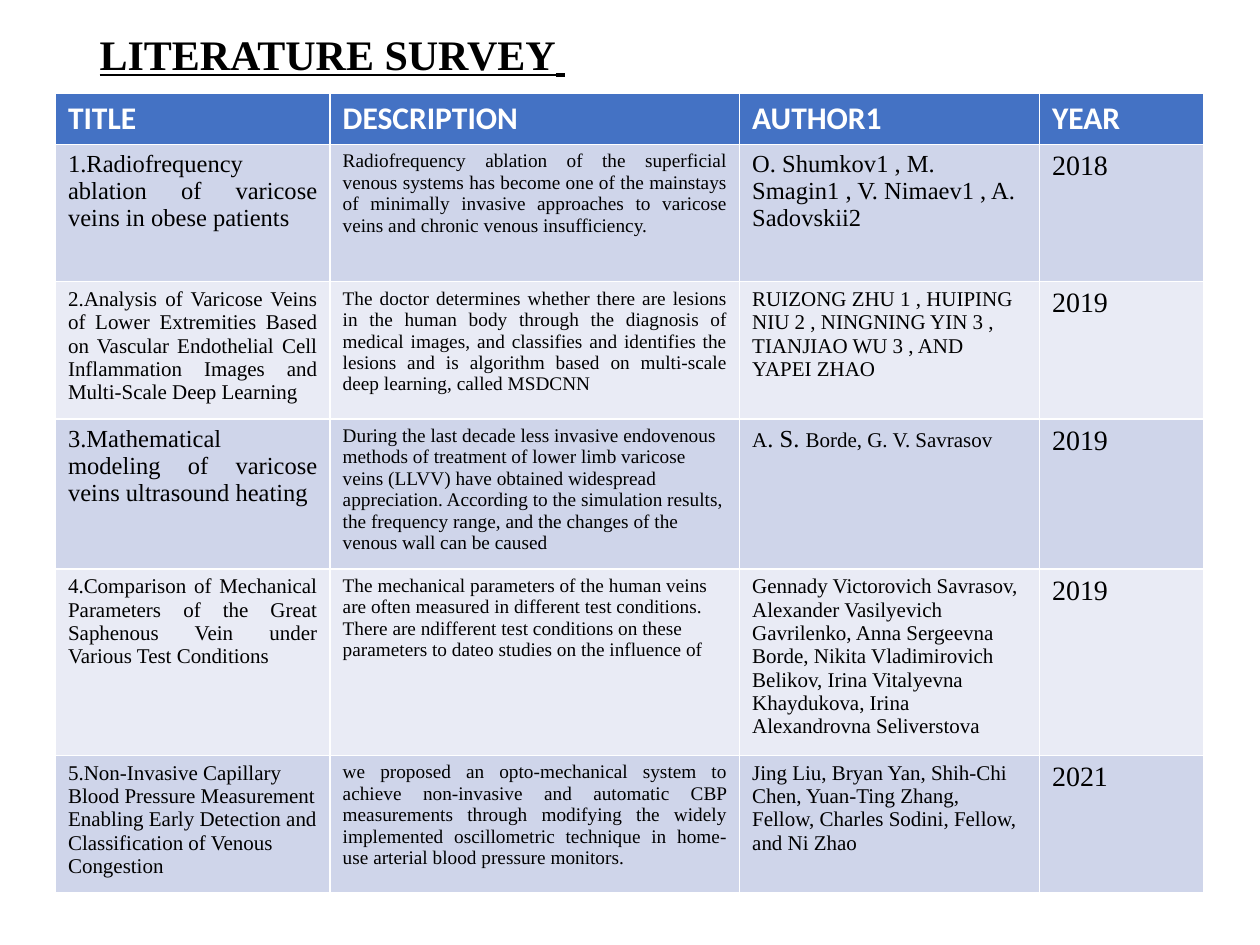
from pptx import Presentation
from pptx.dml.color import RGBColor
from pptx.enum.text import MSO_ANCHOR, MSO_AUTO_SIZE, PP_ALIGN
from pptx.util import Inches, Pt

LEFT, JUST = PP_ALIGN.LEFT, PP_ALIGN.JUSTIFY
MIDDLE, NO_FIT = MSO_ANCHOR.MIDDLE, MSO_AUTO_SIZE.NONE
SERIF, SANS = "Times New Roman", "Calibri"
COLORS = {"head": "4472C4", "odd": "CFD5EA", "even": "E9EBF5",
          "white": "FFFFFF", "black": "000000"}


def color(name):
    return RGBColor.from_string(COLORS[name])


def style(font, face, size, ink, bold=False):
    font.name = face
    font.size = Pt(size)
    font.bold = bold
    font.color.rgb = color(ink)


prs = Presentation()
prs.slide_width, prs.slide_height = Inches(10), Inches(7.5)
slide = prs.slides.add_slide(prs.slide_layouts[5])

# Title
title = slide.shapes.title
title.left, title.top = Inches(0.69), Inches(0)
title.width, title.height = Inches(8.62), Inches(0.9)
frame = title.text_frame
frame.auto_size = NO_FIT
frame.vertical_anchor = MIDDLE
para = frame.paragraphs[0]
para.alignment = LEFT
para.line_spacing = 0.9
for text, face, bold in [("LITERATURE SURVEY", SERIF, True), (" ", SANS, False)]:
    run = para.add_run()
    run.text = text
    style(run.font, face, 24, "black", bold)
    run.font.underline = True

# Survey table
heads = ["TITLE", "DESCRIPTION", "AUTHOR1", "YEAR"]
widths = [2.18, 3.25, 2.38, 1.3]
heights = [0.4, 1.09, 1.09, 1.19, 1.48, 1.09]

# Each paper: title, description, authors as (text, size, alignment), then year
papers = [
    [("1.Radiofrequency ablation of varicose veins in obese patients", 14, JUST),
     ("Radiofrequency ablation of the superficial venous systems has become one "
      "of the mainstays of minimally invasive approaches to varicose veins and "
      "chronic venous insufficiency. ", 11, JUST),
     ("O. Shumkov1 , M. Smagin1 , V. Nimaev1 , A. Sadovskii2", 14, LEFT),
     "2018"],
    [("2.Analysis of Varicose Veins of Lower Extremities Based on Vascular "
      "Endothelial Cell Inflammation Images and Multi-Scale Deep Learning ",
      12, JUST),
     ("The doctor determines whether there are lesions in the human body through "
      "the diagnosis of medical images, and classifies and identifies the lesions "
      "and is algorithm based on multi-scale deep learning, called MSDCNN",
      11, JUST),
     ("RUIZONG ZHU 1 , HUIPING NIU 2 , NINGNING YIN 3 , TIANJIAO WU 3 , "
      "AND YAPEI ZHAO", 12, LEFT),
     "2019"],
    [("3.Mathematical modeling of varicose veins ultrasound heating ", 14, JUST),
     ("During the last decade less invasive endovenous methods of treatment of "
      "lower limb varicose veins (LLVV) have obtained widespread appreciation. "
      "According to the simulation results, the frequency range, and the changes "
      "of the venous wall can be caused", 11, LEFT),
     ("A|. S. |Borde, G. V. Savrasov", 12, LEFT),  # the part between bars is larger
     "2019"],
    [("4.Comparison of Mechanical Parameters of the Great Saphenous Vein under "
      "Various Test Conditions ", 12, JUST),
     ("The mechanical parameters of the human veins are often measured in "
      "different test conditions. There are ndifferent test conditions on these "
      "parameters to dateo studies on the influence of", 11, LEFT),
     ("Gennady Victorovich Savrasov, Alexander Vasilyevich Gavrilenko, Anna "
      "Sergeevna Borde, Nikita Vladimirovich Belikov, Irina Vitalyevna "
      "Khaydukova, Irina Alexandrovna Seliverstova", 12, LEFT),
     "2019"],
    [("5.Non-Invasive Capillary Blood Pressure Measurement Enabling Early "
      "Detection and Classification of Venous Congestion", 12, LEFT),
     ("we proposed an opto-mechanical system to achieve non-invasive and automatic "
      "CBP measurements through modifying the widely implemented oscillometric "
      "technique in home-use arterial blood pressure monitors.", 11, JUST),
     ("Jing Liu, Bryan Yan, Shih-Chi Chen, Yuan-Ting Zhang, Fellow, Charles "
      "Sodini, Fellow, and Ni Zhao", 12, LEFT),
     "2021"],
]

table = slide.shapes.add_table(
    len(heights), len(widths), Inches(0.44), Inches(0.74),
    Inches(sum(widths)), Inches(sum(heights))).table
for col, width in zip(table.columns, widths):
    col.width = Inches(width)
for row, height in zip(table.rows, heights):
    row.height = Inches(height)

for cell, text in zip(table.rows[0].cells, heads):
    cell.fill.solid()
    cell.fill.fore_color.rgb = color("head")
    cell.text = text
    style(cell.text_frame.paragraphs[0].font, SANS, 18, "white", True)

for num, paper in enumerate(papers, 1):
    *texts, year = paper
    for cell, (text, size, align) in zip(table.rows[num].cells,
                                         texts + [(year, 16, LEFT)]):
        cell.fill.solid()
        cell.fill.fore_color.rgb = color("odd" if num % 2 else "even")
        para = cell.text_frame.paragraphs[0]
        para.alignment = align
        style(para.font, SERIF, size, "black")
        for pos, part in enumerate(text.split("|")):
            run = para.add_run()
            run.text = part
            style(run.font, SERIF, 14 if pos == 1 else size, "black")

prs.save("out.pptx")
